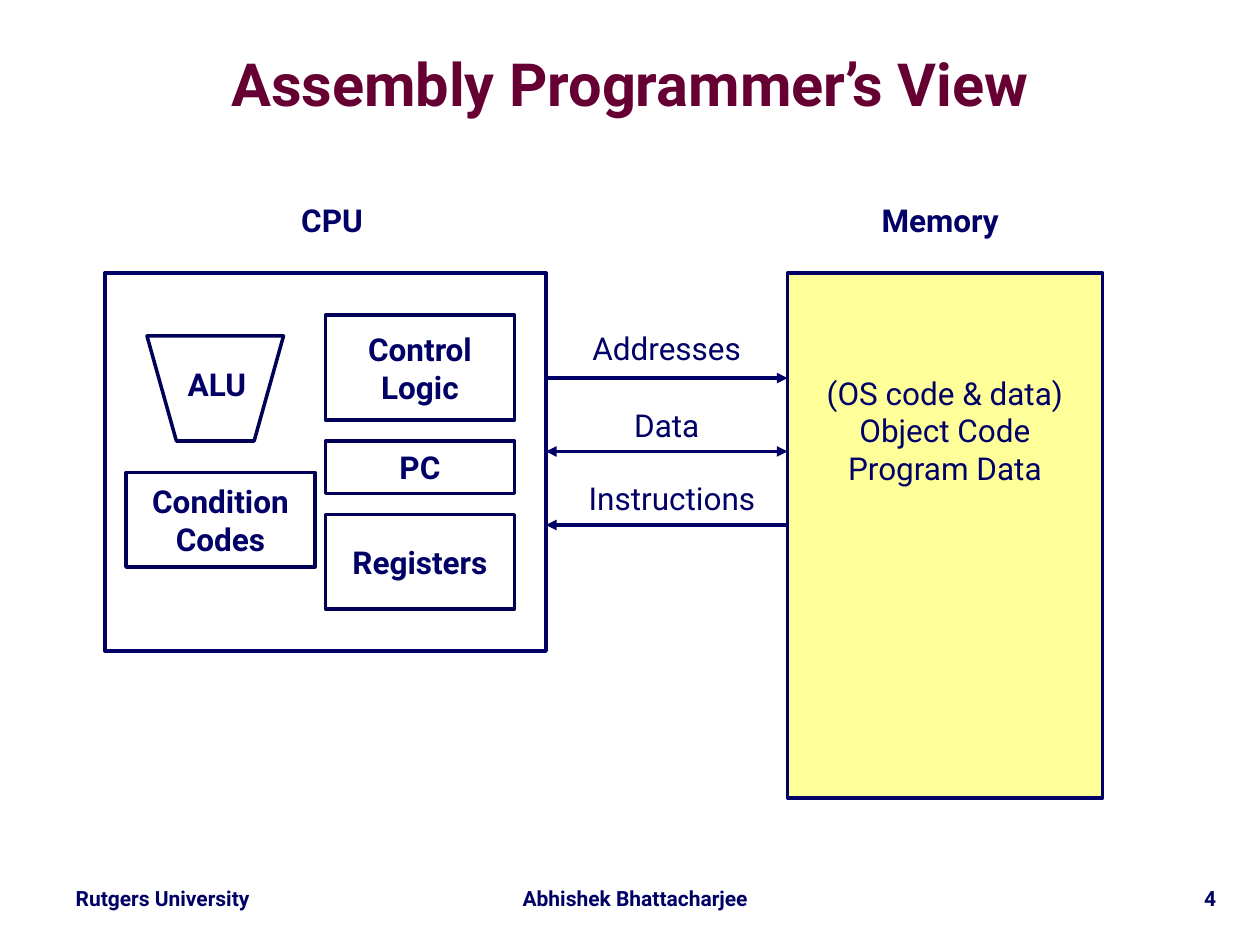
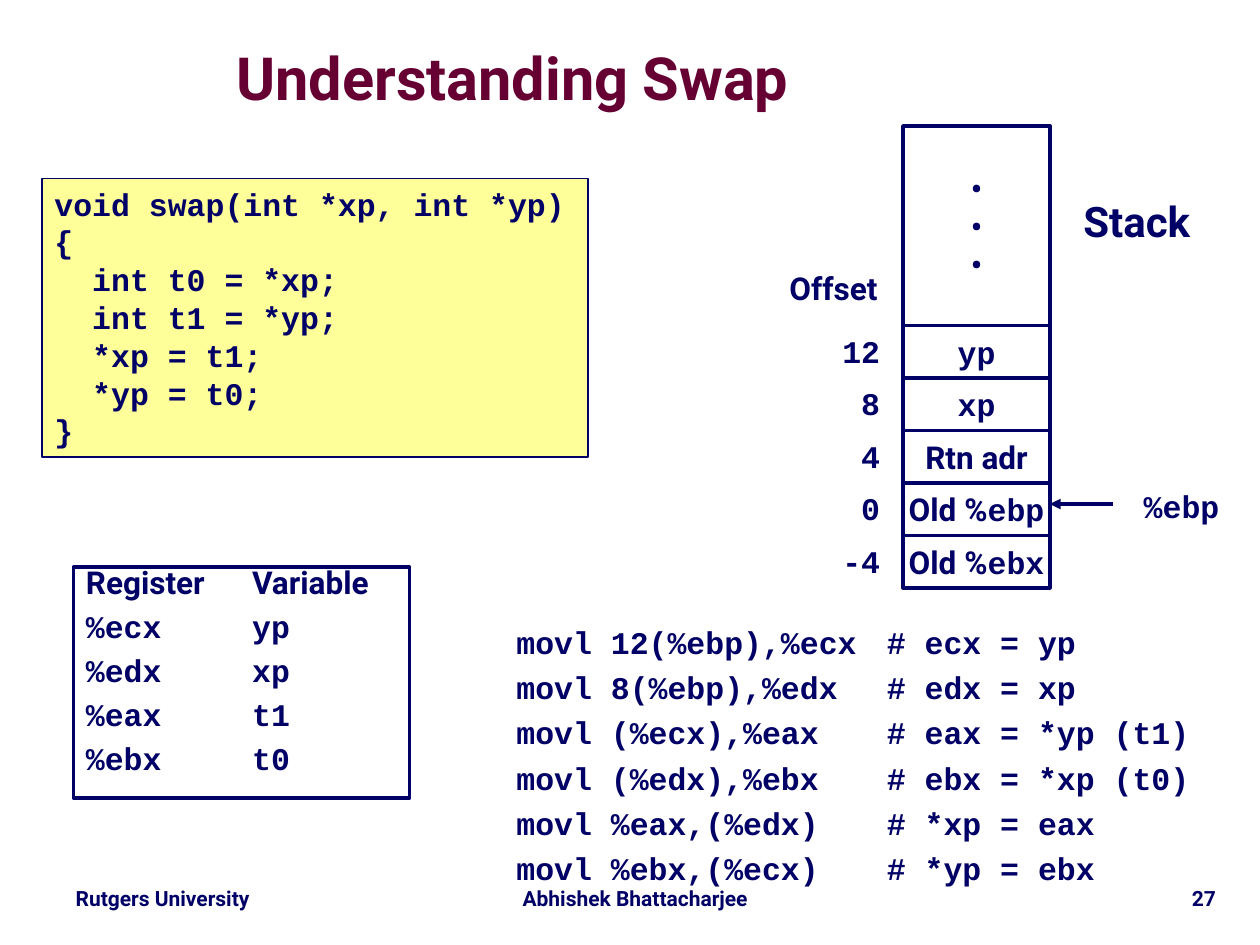
from lxml import etree
from pptx import Presentation
from pptx.dml.color import RGBColor
from pptx.enum import shapes, text
from pptx.oxml import ns
from pptx.util import Pt

NAVY = RGBColor(0x00, 0x00, 0x66)
INK = RGBColor(0x00, 0x00, 0x56)
WINE = RGBColor(0x66, 0x00, 0x33)
CREAM = RGBColor(0xFF, 0xFF, 0x99)
WHITE = RGBColor(0xFF, 0xFF, 0xFF)
SANS, MONO = "Roboto", "Courier New"
LEFT, MID, RIGHT = text.PP_ALIGN.LEFT, text.PP_ALIGN.CENTER, text.PP_ALIGN.RIGHT
TOP, CORE = text.MSO_ANCHOR.TOP, text.MSO_ANCHOR.MIDDLE
RECT, TRAP = shapes.MSO_SHAPE.RECTANGLE, shapes.MSO_SHAPE.TRAPEZOID


class Deck:
    def __init__(self):
        self.prs = Presentation()
        self.prs.slide_width, self.prs.slide_height = Pt(720), Pt(540)
        self.slide = None

    def page(self, title, box, num):
        """Start a slide with its title and footer."""
        self.slide = self.prs.slides.add_slide(self.prs.slide_layouts[5])
        head = self.slide.shapes.title
        head.left, head.top, head.width, head.height = map(Pt, box)
        frame = head.text_frame
        frame.margin_left = frame.margin_right = 0
        frame.margin_top = frame.margin_bottom = 0
        frame.auto_size = text.MSO_AUTO_SIZE.NONE
        self.put(frame, [title], size=34, color=WINE, align=MID,
                 anchor=CORE, gap=0.87)
        feet = [("Rutgers University", 24, 138, MID),
                ("Abhishek Bhattacharjee", 282, 162, MID),
                (num, 588, 114, RIGHT)]
        for word, left, width, align in feet:
            self.label([word], (left, 504, width, 20), size=12, align=align, gap=0.9)

    def style(self, run, font, size, color, bold):
        run.font.name, run.font.size, run.font.bold = font, Pt(size), bold
        run.font.color.rgb = color

    def put(self, frame, lines, font=SANS, size=18, color=NAVY, bold=True,
            align=LEFT, anchor=TOP, wrap=True, gap=1.0, after=0, tab=None, tail=""):
        """Fill a frame; tail is a monospaced ending of the last line."""
        frame.text = "\n".join(lines)
        frame.word_wrap, frame.vertical_anchor = wrap, anchor
        for para in frame.paragraphs:
            para.alignment, para.line_spacing = align, gap
            para.space_before, para.space_after = Pt(0), Pt(after)
            for run in para.runs:
                self.style(run, font, size, color, bold)
            if tab:
                stops = etree.SubElement(para._p.get_or_add_pPr(), ns.qn("a:tabLst"))
                etree.SubElement(stops, ns.qn("a:tab"), pos=str(Pt(tab)), algn="l")
        if tail:
            run = frame.paragraphs[-1].add_run()
            run.text = tail
            self.style(run, MONO, size, color, bold)

    def label(self, lines, box, **look):
        shape = self.slide.shapes.add_textbox(*map(Pt, box))
        self.put(shape.text_frame, lines, **look)

    def block(self, box, kind=RECT, fill=WHITE, line=NAVY, width=2):
        shape = self.slide.shapes.add_shape(kind, *map(Pt, box))
        shape.shadow.inherit = False
        if fill is None:
            shape.fill.background()
        else:
            shape.fill.solid()
            shape.fill.fore_color.rgb = fill
        shape.line.color.rgb, shape.line.width = line, Pt(width)
        return shape

    def cell(self, lines, box, line=NAVY, **look):
        """Draw a box with centred text."""
        shape = self.block(box, line=line)
        self.put(shape.text_frame, lines, align=MID, anchor=CORE, wrap=False, **look)

    def arrow(self, start, end, tips=("tailEnd",)):
        line = self.slide.shapes.add_connector(
            shapes.MSO_CONNECTOR.STRAIGHT, *map(Pt, start + end))
        line.line.color.rgb, line.line.width = NAVY, Pt(2)
        for tip in tips:
            etree.SubElement(line.line._get_or_add_ln(), ns.qn("a:" + tip), type="triangle")
        etree.SubElement(line._element.spPr, ns.qn("a:effectLst"))


def view(deck):
    """Build the CPU and memory diagram."""
    deck.page("Assembly Programmer’s View", (22, 19.5, 676, 61), "4")
    deck.block((60, 156, 252, 216), fill=None, width=2.25)
    deck.block((450, 156, 180, 300), fill=CREAM)
    deck.label(["(OS code & data)", "Object Code", "Program Data"],
               (450, 210, 180, 73), bold=False, align=MID)

    parts = [(["Control", "Logic"], 186, 180, 60),
             (["PC"], 186, 252, 30),
             (["Registers"], 186, 294, 54),
             (["Condition", "Codes"], 72, 270, 54)]
    for lines, left, top, height in parts:
        deck.cell(lines, (left, top, 108, height), line=INK)
    alu = deck.block((84, 192, 78, 60), kind=TRAP, line=INK)
    alu.rotation, alu.adjustments[0] = 180, 0.28

    names = [("ALU", 98, 207.5, 52), ("CPU", 163.5, 114, 52.5), ("Memory", 495, 114, 84.5)]
    for name, left, top, width in names:
        deck.label([name], (left, top, width, 27), align=MID, wrap=False, gap=0.9)

    buses = [("Addresses", 312, 184.5, 216, ("tailEnd",)),
             ("Data", 312, 228.5, 258, ("headEnd", "tailEnd")),
             ("Instructions", 315, 270, 300, ("headEnd",))]
    for name, left, top, y, tips in buses:
        deck.arrow((312, y), (450, y), tips)
        deck.label([name], (left, top, 138, 29), bold=False, align=MID)


def swap(deck):
    """Build the swap code, its stack and its registers."""
    deck.page("Understanding Swap", (42, 24, 502, 45), "27")
    code = deck.block((24, 102, 312, 159), fill=CREAM, width=1).text_frame
    deck.put(code, ["void swap(int *xp, int *yp)", "{", "int t0 = *xp;",
                    "int t1 = *yp;", "*xp = t1;", "*yp = t0;", "}"], font=MONO)
    for para in code.paragraphs[2:6]:
        para._p.get_or_add_pPr().set("marL", str(Pt(21.6)))

    moves = ["movl 12(%ebp),%ecx\t# ecx = yp", "movl 8(%ebp),%edx\t# edx = xp",
             "movl (%ecx),%eax\t# eax = *yp (t1)", "movl (%edx),%ebx\t# ebx = *xp (t0)",
             "movl %eax,(%edx)\t# *xp = eax", "movl %ebx,(%ecx)\t# *yp = ebx"]
    deck.label(moves, (288, 348, 432, 163), font=MONO, gap=1.2, tab=211.7)

    regs = deck.block((42, 324, 192, 132), fill=None).text_frame
    deck.put(regs, ["Register\tVariable", "%ecx\typ", "%edx\txp", "%eax\tt1", "%ebx\tt0"],
             font=MONO, gap=0.7, after=10, tab=95)
    for run in regs.paragraphs[0].runs:
        run.font.name = SANS

    deck.cell(["•"] * 3, (516, 72, 84, 114))
    rows = [("12", "", "yp"), ("8", "", "xp"), ("4", "Rtn adr", ""),
            ("0", "Old %", "ebp"), ("-4", "Old %", "ebx")]
    for i, (shift, word, tail) in enumerate(rows):
        top = 186 + 30 * i
        deck.cell([word], (516, top, 84, 30), tail=tail)
        deck.label([shift], (462, top, 48, 29), font=MONO, align=RIGHT)
    deck.arrow((636, 288), (600, 288))
    deck.label(["%ebp"], (646.5, 274.5, 58, 29), font=MONO, wrap=False)
    deck.label(["Offset"], (444, 150, 66, 29), wrap=False)
    deck.label(["Stack"], (612, 108, 78, 36), size=24, wrap=False)


def main():
    deck = Deck()
    view(deck)
    swap(deck)
    deck.prs.save("out.pptx")


if __name__ == "__main__":
    main()
